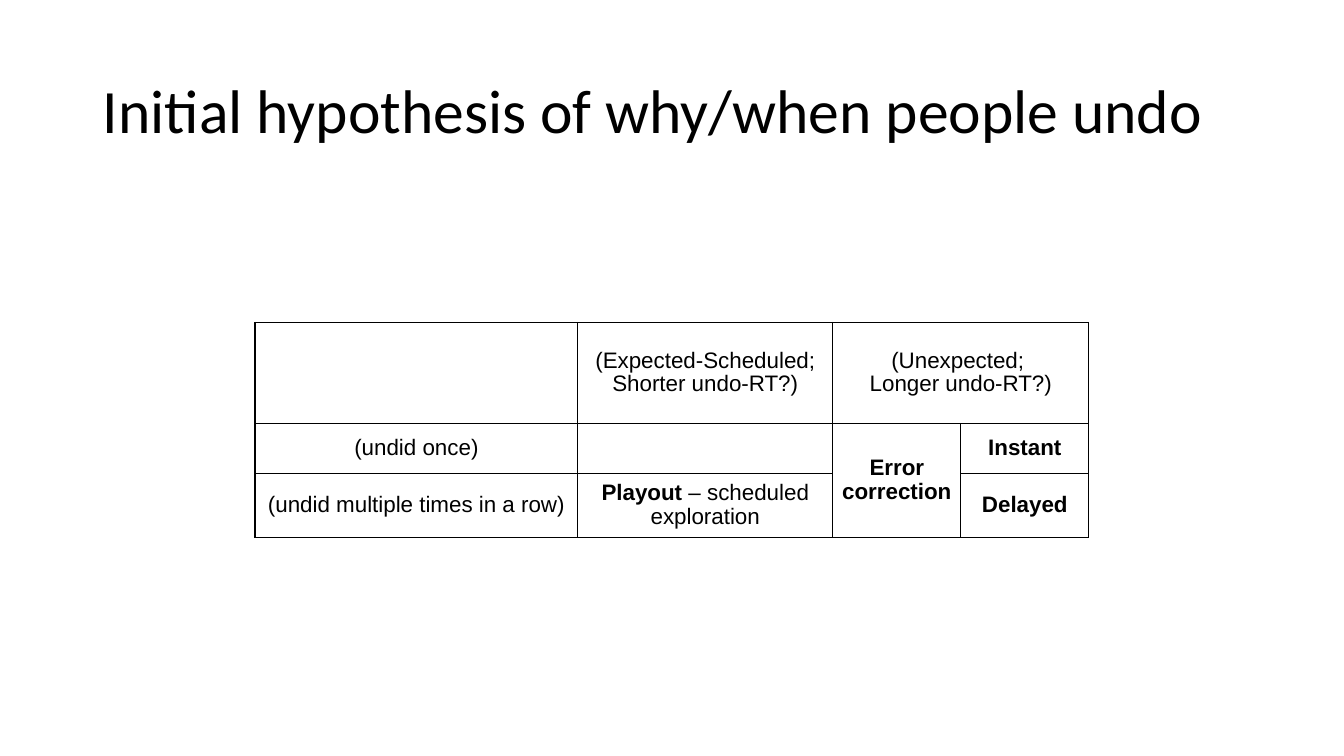
from dataclasses import dataclass

from lxml.etree import SubElement
from pptx import Presentation
from pptx.dml.color import RGBColor
from pptx.enum.text import MSO_ANCHOR as Anchor, PP_ALIGN as Align
from pptx.oxml.ns import qn
from pptx.util import Inches, Pt


@dataclass(frozen=True)
class Theme:
    ink: str = "000000"
    title_font: str = "Calibri"
    table_font: str = "Arial"
    title_size: int = 44
    table_size: int = 16
    border: int = 1


theme = Theme()


def write(frame, text, font, size, bold=False, align=Align.LEFT, spacing=1.0):
    """Append text to the first paragraph; a newline becomes a line break."""
    para = frame.paragraphs[0]
    para.alignment, para.line_spacing = align, spacing
    for number, line in enumerate(text.split("\n")):
        if number:
            para.add_line_break()
        span = para.add_run()
        span.text = line
        span.font.name, span.font.size, span.font.bold = font, Pt(size), bold
        span.font.color.rgb = RGBColor.from_string(theme.ink)


def add_borders(cell):
    properties = cell._tc.get_or_add_tcPr()
    for side in ("a:lnL", "a:lnR", "a:lnT", "a:lnB"):
        line = SubElement(properties, qn(side), w=str(Pt(theme.border)))
        fill = SubElement(line, qn("a:solidFill"))
        SubElement(fill, qn("a:srgbClr"), val=theme.ink)


deck = Presentation()
deck.slide_width, deck.slide_height = Inches(13.33), Inches(7.5)
page = deck.slides.add_slide(deck.slide_layouts[5])

# Title
title = page.shapes.title
title.left, title.top = Inches(0.92), Inches(0.4)
title.width, title.height = Inches(11.5), Inches(1.45)
title.text_frame.vertical_anchor = Anchor.MIDDLE
title.text_frame.word_wrap = True
write(title.text_frame, "Initial hypothesis of why/when people undo",
      theme.title_font, theme.title_size, spacing=0.9)

# Table grid
column_widths = [3.2, 2.53, 1.27, 1.27]
row_heights = [1, 0.5, 0.63]
table = page.shapes.add_table(
    len(row_heights), len(column_widths), Inches(2.53), Inches(3.2),
    Inches(sum(column_widths)), Inches(sum(row_heights))).table
table.first_row = table.horz_banding = False
for column, width in zip(table.columns, column_widths):
    column.width = Inches(width)
for row, height in zip(table.rows, row_heights):
    row.height = Inches(height)
table.cell(0, 2).merge(table.cell(0, 3))
table.cell(1, 2).merge(table.cell(2, 2))

for cell in table.iter_cells():
    add_borders(cell)
    cell.fill.background()
    cell.vertical_anchor = Anchor.MIDDLE
    cell.margin_left = cell.margin_right = Inches(0.07)
    cell.margin_top = cell.margin_bottom = Inches(0.07)

# Table text: row, column, wording, bold
entries = [
    (0, 1, "(Expected-Scheduled; Shorter undo-RT?)", False),
    (0, 2, "(Unexpected; \nLonger undo-RT?)", False),
    (1, 0, "(undid once)", False),
    (1, 2, "Error correction", True),
    (1, 3, "Instant", True),
    (2, 0, "(undid multiple times in a row)", False),
    (2, 1, "Playout", True),
    (2, 1, " – scheduled exploration", False),
    (2, 3, "Delayed", True),
]
for row, column, wording, bold in entries:
    write(table.cell(row, column).text_frame, wording, theme.table_font,
          theme.table_size, bold=bold, align=Align.CENTER, spacing=0.95)

deck.save("out.pptx")
